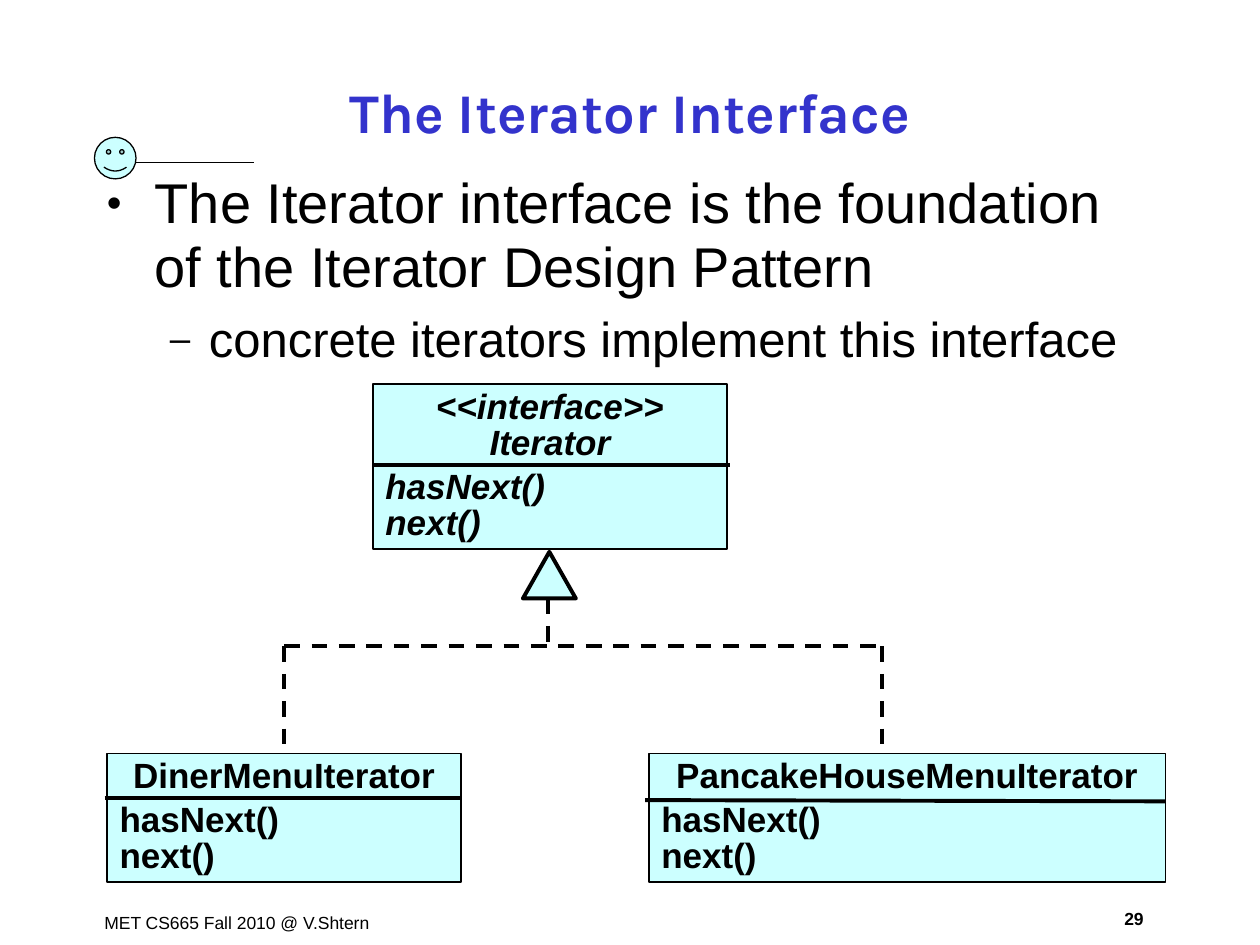
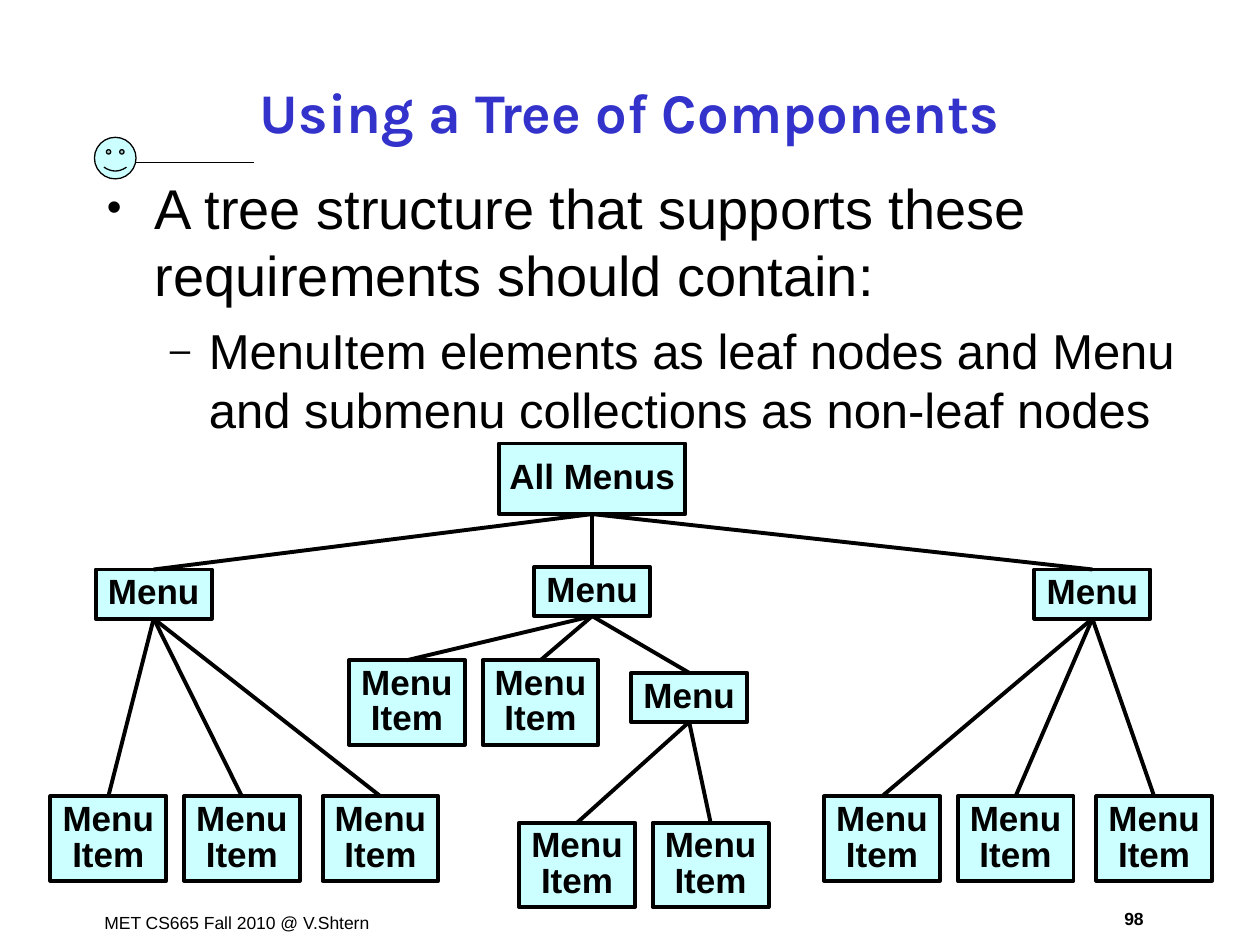
from dataclasses import dataclass
from typing import NamedTuple

from lxml.etree import SubElement
from pptx import Presentation
from pptx.dml.color import RGBColor
from pptx.enum.dml import MSO_LINE
from pptx.enum.shapes import MSO_CONNECTOR, MSO_SHAPE
from pptx.enum.text import MSO_ANCHOR, MSO_AUTO_SIZE, PP_ALIGN
from pptx.oxml.ns import qn
from pptx.util import Emu, Inches, Pt

HUES = {"ink": "000000", "title": "3333CC", "box": "CCFFFF", "page": "FFFFFF"}
WIDE, HIGH = Inches(10), Inches(7.5)
COL, ROW = WIDE / 100, HIGH / 75
THIN, THICK = 1, 2.25
STEPS = (0, 10.6, 21.6)


class Spot(NamedTuple):
    x: float
    y: float
    w: float
    h: float

    def place(self) -> list[Emu]:
        return [Emu(round(n * unit)) for n, unit in zip(self, (COL, ROW, COL, ROW))]


class Dot(NamedTuple):
    x: float
    y: float

    def place(self) -> list[Emu]:
        return [Emu(round(self.x * COL)), Emu(round(self.y * ROW))]


@dataclass
class Style:
    size: float = 20
    bold: bool = True
    slant: bool = False
    font: str = "Arial"
    hue: str = "ink"
    align: PP_ALIGN = PP_ALIGN.CENTER
    line: float = 1.0
    gap: float = 0


@dataclass
class Mark:
    sign: str
    left: float
    hang: float


@dataclass
class Card:
    spot: Spot
    heads: list[str]
    start: Dot
    end: Dot
    slant: bool = False


@dataclass
class Node:
    spot: Spot
    text: str
    kids: tuple["Node", ...] = ()


BULLETS = (Mark("•", 0.38, 0.38), Mark("–", 0.81, 0.31))
CARDS = (
    Card(Spot(29.6, 30.5, 28.1, 13.1), ["<<interface>>", "Iterator"],
         Dot(29.6, 36.9), Dot(57.9, 36.9), True),
    Card(Spot(8.5, 59.8, 28.1, 10.2), ["DinerMenuIterator"],
         Dot(8.3, 63.3), Dot(36.7, 63.3)),
    Card(Spot(51.5, 59.8, 41, 10.2), ["PancakeHouseMenuIterator"],
         Dot(51.2, 63.5), Dot(92.5, 63.6)),
)


def menu(x: float, y: float, *kids: Node) -> Node:
    return Node(Spot(x, y, 9.2, 3.9), "Menu", kids)


def items(x: float, y: float, count: int) -> list[Node]:
    return [Node(Spot(x + step, y, 9.2, 6.7), "Menu\nItem") for step in STEPS[:count]]


TREE = Node(Spot(39.6, 35.2, 14.8, 5.6), "All Menus", (
    menu(7.6, 45.2, *items(4, 63.2, 3)),
    menu(42.4, 45, *items(27.7, 52.4, 2),
         menu(50.1, 53.4, *items(41.2, 65.3, 2))),
    menu(82.1, 45.2, *items(65.4, 63.2, 3)),
))


def tint(name: str) -> RGBColor:
    return RGBColor.from_string(HUES[name])


def write(shape, text: str, styles: list[Style], wrap: bool = True,
          anchor: MSO_ANCHOR = MSO_ANCHOR.MIDDLE) -> None:
    frame = shape.text_frame
    frame.text = text
    frame.word_wrap = wrap
    frame.auto_size = MSO_AUTO_SIZE.NONE
    frame.vertical_anchor = anchor
    for para, style in zip(frame.paragraphs, styles):
        para.alignment = style.align
        para.line_spacing = style.line
        para.space_before = Pt(style.gap)
        for run in para.runs:
            font = run.font
            font.name, font.size = style.font, Pt(style.size)
            font.bold, font.italic = style.bold, style.slant
            font.color.rgb = tint(style.hue)


def label(slide, spot: Spot, text: str, styles: list[Style]):
    box = slide.shapes.add_textbox(*spot.place())
    write(box, text, styles, anchor=MSO_ANCHOR.TOP)
    return box


def form(slide, kind: MSO_SHAPE, spot: Spot, width: float):
    shape = slide.shapes.add_shape(kind, *spot.place())
    shape.shadow.inherit = False
    shape.fill.solid()
    shape.fill.fore_color.rgb = tint("box")
    shape.line.color.rgb = tint("ink")
    shape.line.width = Pt(width)
    return shape


def rule(slide, start: Dot, end: Dot, width: float = THICK, dash: bool = False):
    line = slide.shapes.add_connector(MSO_CONNECTOR.STRAIGHT, *start.place(), *end.place())
    line.line.color.rgb = tint("ink")
    line.line.width = Pt(width)
    if dash:
        line.line.dash_style = MSO_LINE.DASH
    SubElement(line._element.spPr, qn("a:effectLst"))
    return line


def mark(para, bullet: Mark) -> None:
    props = para._p.get_or_add_pPr()
    props.set("marL", str(Inches(bullet.left)))
    props.set("indent", str(-Inches(bullet.hang)))
    hue = SubElement(props, qn("a:buClr"))
    SubElement(hue, qn("a:srgbClr"), val=HUES["ink"])
    SubElement(props, qn("a:buSzPct"), val="75000")
    SubElement(props, qn("a:buFont"), typeface="Arial")
    SubElement(props, qn("a:buChar"), char=bullet.sign)


def start(deck, title: str, page: int):
    slide = deck.slides.add_slide(deck.slide_layouts[5])
    slide.background.fill.solid()
    slide.background.fill.fore_color.rgb = tint("page")
    head = slide.shapes.title
    head.left, head.top, head.width, head.height = Spot(7.5, 4.8, 85, 8).place()
    write(head, title, [Style(32, font="Karla", hue="title")])
    label(slide, Spot(7.3, 71.9, 24.1, 2.7), "MET CS665 Fall 2010 @ V.Shtern",
          [Style(10, bold=False, align=PP_ALIGN.LEFT, gap=6.2)])
    label(slide, Spot(87.3, 71.6, 5.4, 2.7), str(page), [Style(10, gap=6.2)])
    smile = form(slide, MSO_SHAPE.SMILEY_FACE, Spot(7.5, 10.9, 3.3, 3.3), 0.75)
    smile.adjustments[0] = 0.09
    rule(slide, Dot(10.8, 12.9), Dot(20.2, 12.9), THIN)
    return slide


def points(slide, spot: Spot, lines: tuple[str, str], space: float) -> None:
    styles = [Style(size, bold=False, align=PP_ALIGN.LEFT, line=space, gap=gap)
              for size, gap in ((32, 8), (28, 7))]
    body = label(slide, spot, "\n".join(lines), styles)
    for level, (para, bullet) in enumerate(zip(body.text_frame.paragraphs, BULLETS)):
        para.level = level
        mark(para, bullet)


def draw(slide, card: Card):
    box = form(slide, MSO_SHAPE.RECTANGLE, card.spot, THIN)
    top = Style(slant=card.slant, line=0.85)
    first, last = (Style(slant=card.slant, align=PP_ALIGN.LEFT, line=0.85, gap=gap)
                   for gap in (5, 0))
    lines = card.heads + ["hasNext()", "next()"]
    write(box, "\n".join(lines), [top] * len(card.heads) + [first, last])
    rule(slide, card.start, card.end)
    return box


def grow(slide, node: Node):
    box = form(slide, MSO_SHAPE.RECTANGLE, node.spot, THICK)
    write(box, node.text, [Style(line=0.85)] * 2, wrap=False)
    for kid in node.kids:
        leaf = grow(slide, kid)
        line = rule(slide, Dot(0, 0), Dot(1, 1))
        line.begin_connect(box, 2)
        line.end_connect(leaf, 0)
    return box


def classes(deck) -> None:
    slide = start(deck, "The Iterator Interface", 29)
    points(slide, Spot(7.5, 13.2, 85, 57.6), (
        "The Iterator interface is the foundation of the Iterator Design Pattern",
        "concrete iterators implement this interface"), 0.95)
    diner = [draw(slide, card) for card in CARDS][1]
    form(slide, MSO_SHAPE.ISOSCELES_TRIANGLE, Spot(41.5, 43.8, 4.2, 3.7), THICK)
    bar, mid, left, right = 51.3, 43.5, 22.55, 70
    rule(slide, Dot(left, bar), Dot(right, bar), dash=True)
    rule(slide, Dot(mid, 47.5), Dot(mid, bar), dash=True)
    drop = rule(slide, Dot(left, bar), Dot(left, 59.8), dash=True)
    drop.end_connect(diner, 0)
    rule(slide, Dot(right, bar), Dot(right, 60), dash=True)


def tree(deck) -> None:
    slide = start(deck, "Using a Tree of Components", 98)
    points(slide, Spot(7.5, 13.3, 87.1, 57.6), (
        "A tree structure that supports these requirements should contain:",
        "MenuItem elements as leaf nodes and Menu and submenu collections as non-leaf nodes"), 1.0)
    grow(slide, TREE)


def main() -> None:
    deck = Presentation()
    deck.slide_width, deck.slide_height = WIDE, HIGH
    classes(deck)
    tree(deck)
    deck.save("out.pptx")


if __name__ == "__main__":
    main()
